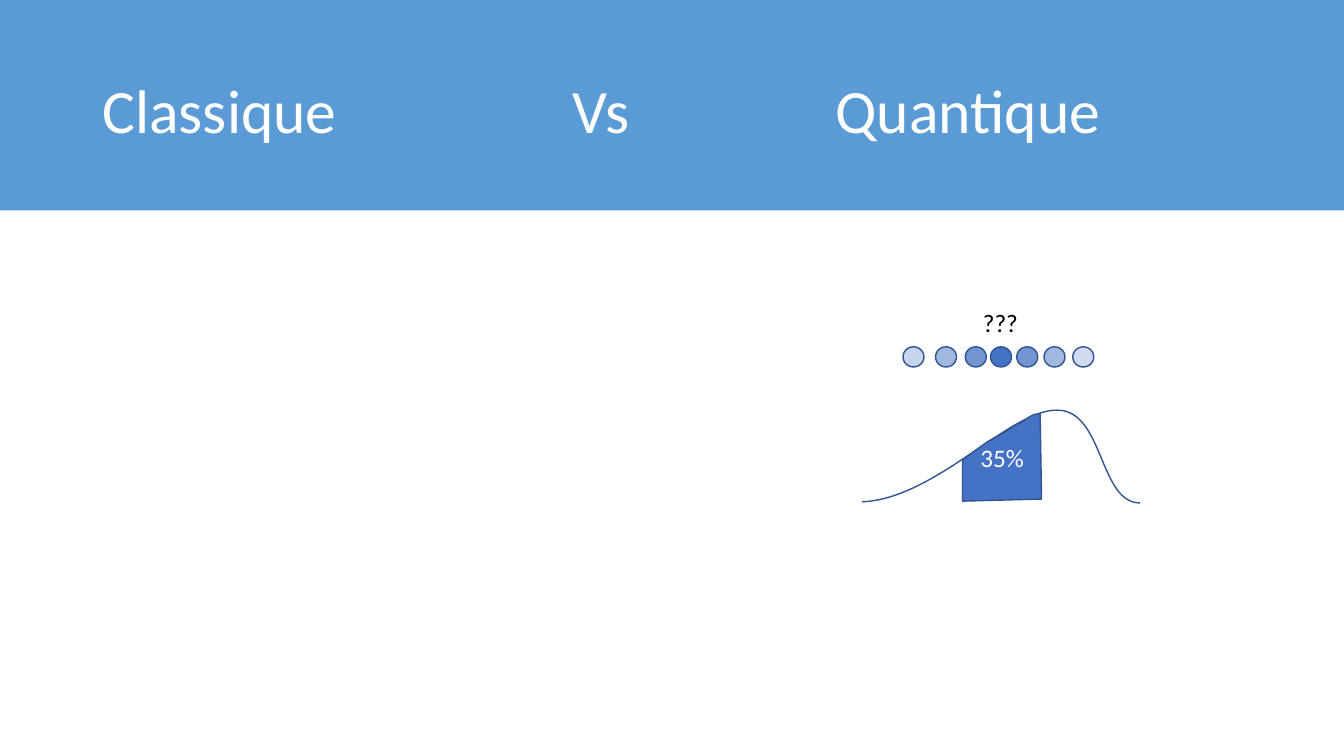
"""Build a slide that contrasts classical and quantum descriptions of a particle."""
from lxml.etree import SubElement
from pptx import Presentation
from pptx.dml.color import RGBColor
from pptx.enum.shapes import MSO_SHAPE
from pptx.enum.text import MSO_ANCHOR, MSO_AUTO_SIZE, PP_ALIGN
from pptx.oxml.ns import qn
from pptx.util import Pt

BLUE, OUTLINE = "4472C4", "325491"


def paint(shape, fill=None, line=None):
    """Set fill and outline from hex strings, or remove them."""
    shape.shadow.inherit = False
    if fill:
        shape.fill.solid()
        shape.fill.fore_color.rgb = RGBColor.from_string(fill)
    else:
        shape.fill.background()
    if line:
        shape.line.color.rgb = RGBColor.from_string(line)
        shape.line.width = Pt(1)
    else:
        shape.line.fill.background()


def write(shape, text, size, color, align):
    """Fill a shape with one formatted paragraph and return it."""
    para = shape.text_frame.paragraphs[0]
    para.text = text
    para.alignment = align
    para.font.name = "Calibri"
    para.font.size = Pt(size)
    para.font.color.rgb = RGBColor.from_string(color)
    return para


deck = Presentation()
deck.slide_width, deck.slide_height = Pt(960), Pt(540)
page = deck.slides.add_slide(deck.slide_layouts[5])
shapes = page.shapes

title = shapes.title
title.left, title.top, title.width, title.height = Pt(66), Pt(28.75), Pt(828), Pt(104.4)
title.text_frame.vertical_anchor = MSO_ANCHOR.MIDDLE
title.text_frame.auto_size = MSO_AUTO_SIZE.NONE
heading = write(title, "Classique\tVs\tQuantique", 44, "FFFFFF", PP_ALIGN.LEFT)
heading.line_spacing = 0.9
tabs = SubElement(heading._p.get_or_add_pPr(), qn("a:tabLst"))
heading._p.pPr.find(qn("a:defRPr")).addprevious(tabs)
for stop in (336, 523.5):
    SubElement(tabs, qn("a:tab"), pos=str(Pt(stop)), algn="l")

banner = shapes.add_shape(MSO_SHAPE.RECTANGLE, 0, 0, deck.slide_width, Pt(150.3))
paint(banner, "5B9BD5")
title.element.addprevious(banner.element)

particles = [(645, 30), (668.25, 50), (689.5, 75), (707.5, 100),
             (726.25, 75), (745.75, 50), (766.25, 25)]
for left, opacity in particles:
    particle = shapes.add_shape(MSO_SHAPE.OVAL, Pt(left), Pt(247.75), Pt(15), Pt(14.4))
    paint(particle, BLUE, OUTLINE)
    if opacity < 100:
        tint = particle.fill._xPr.find(qn("a:solidFill"))[0]
        SubElement(tint, qn("a:alpha"), val=str(opacity * 1000))

question = shapes.add_textbox(Pt(695), Pt(216), Pt(39.5), Pt(29))
question.text_frame.word_wrap = False
question.text_frame.auto_size = MSO_AUTO_SIZE.SHAPE_TO_FIT_TEXT
write(question, "???", 18, "000000", PP_ALIGN.LEFT)

bends = [[(615.6, 358.5), (668.25, 356.5), (722, 292), (755.25, 293)],
         [(755.25, 293), (788.5, 293), (785, 359.25), (814.25, 359.25)]]
steps = 40
curve_points = []
for bend in bends:
    for step in range(1, steps + 1):
        t = step / steps
        weights = ((1 - t) ** 3, 3 * t * (1 - t) ** 2, 3 * t ** 2 * (1 - t), t ** 3)
        curve_points.append([sum(w * point[axis] for w, point in zip(weights, bend))
                             for axis in (0, 1)])
area_points = [(687.5, 328.5), (705.5, 315.5), (716.5, 309.5), (724.5, 304),
               (731, 301), (735, 298), (738.75, 296), (743, 295.75), (744, 356.5)]

outlines = [(bends[0][0], curve_points, None), ((687.5, 358), area_points, BLUE)]
for start, points, fill in outlines:
    builder = shapes.build_freeform(Pt(start[0]), Pt(start[1]))
    builder.add_line_segments([(Pt(x), Pt(y)) for x, y in points], close=bool(fill))
    region = builder.convert_to_shape()
    paint(region, fill, OUTLINE)

region.text_frame.vertical_anchor = MSO_ANCHOR.MIDDLE
write(region, "35%", 18, "FFFFFF", PP_ALIGN.CENTER)

deck.save("out.pptx")
